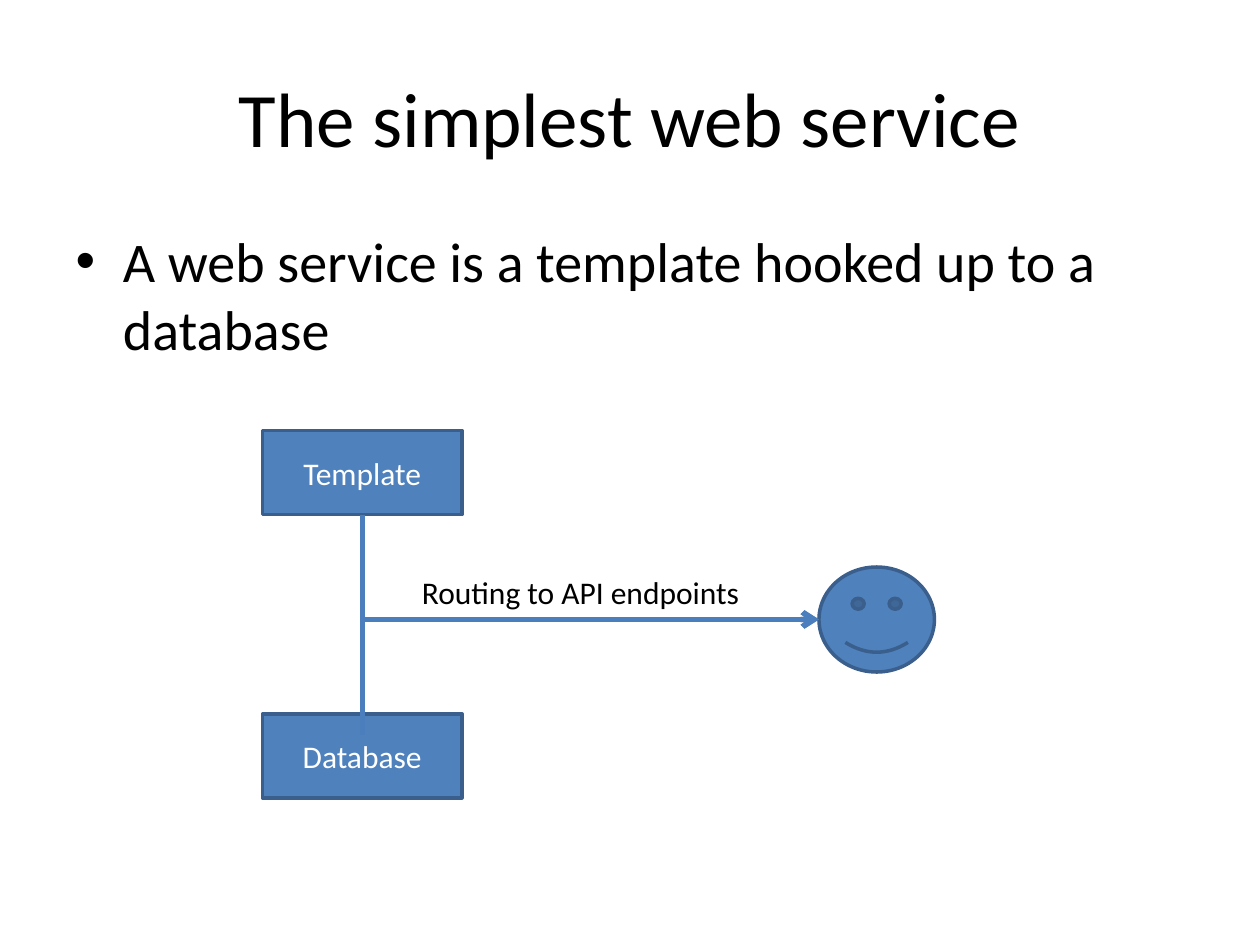
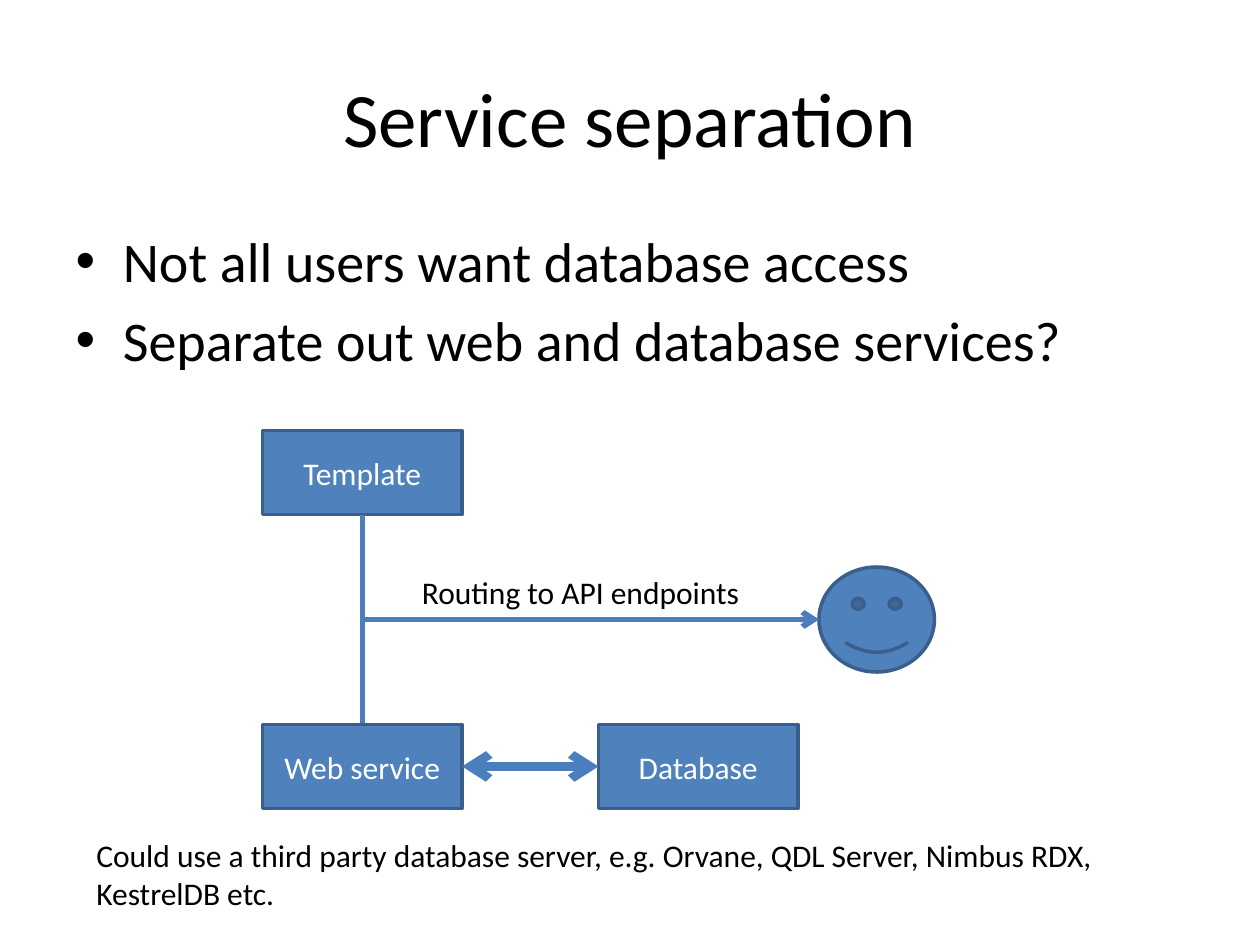
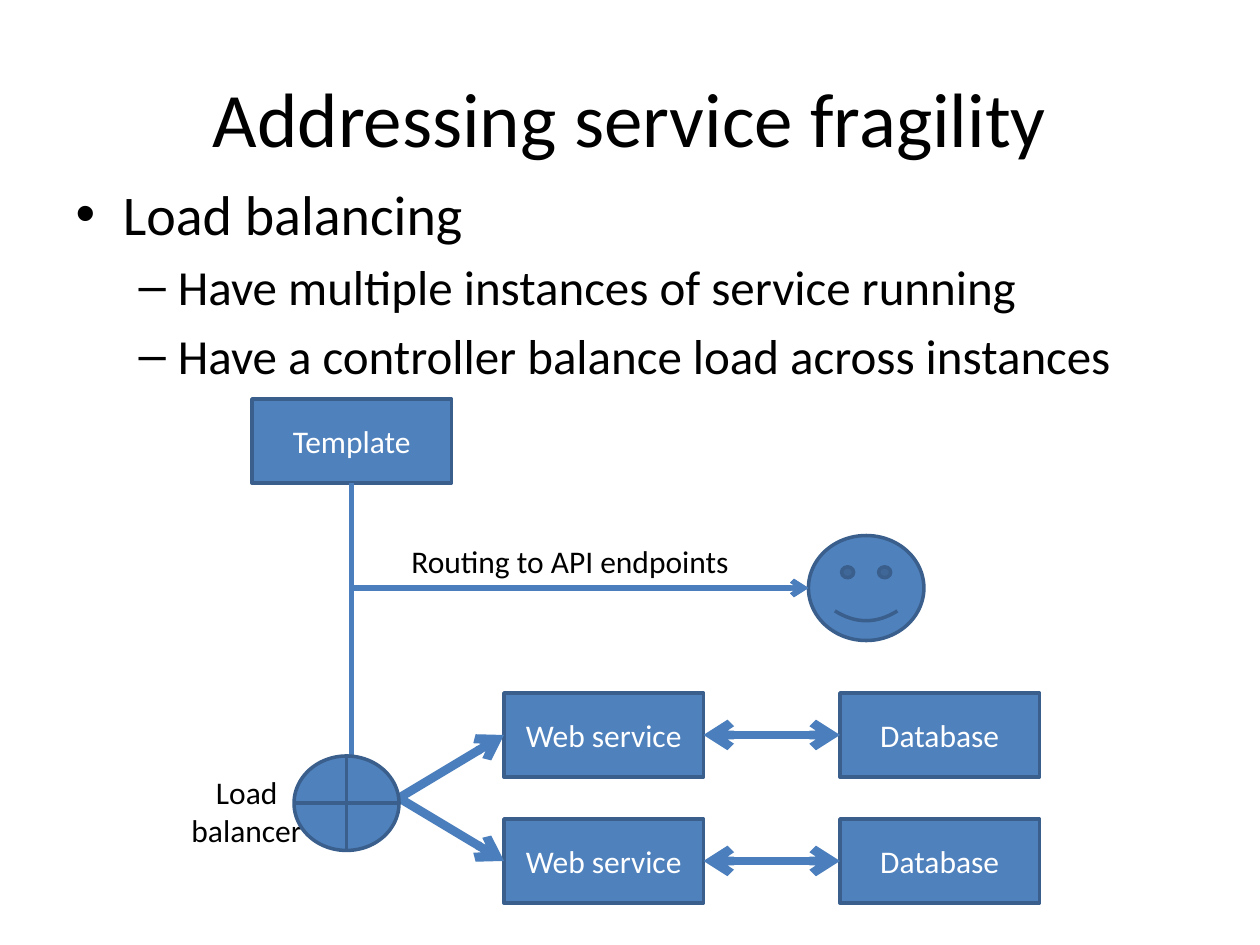
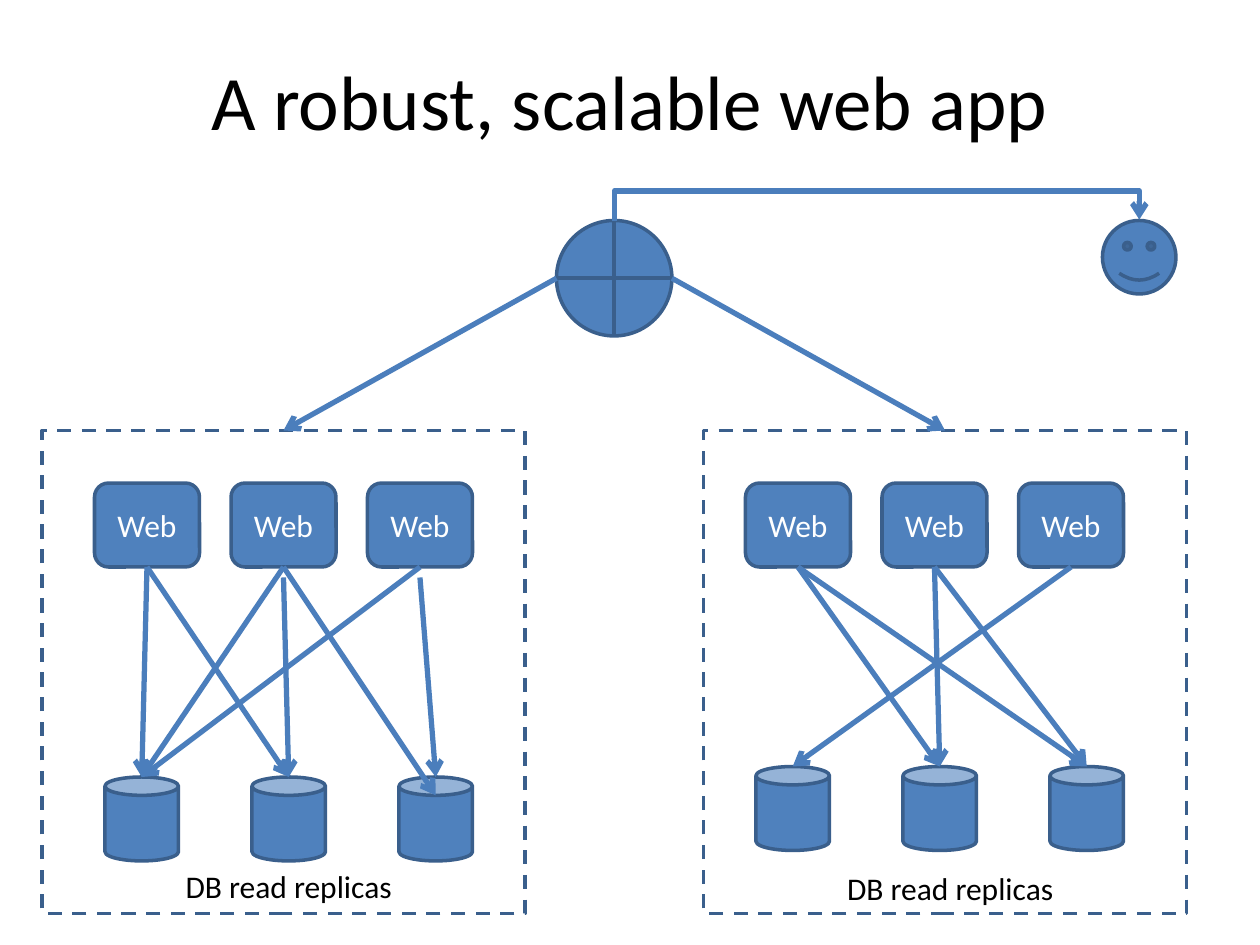
from lxml import etree
from pptx import Presentation
from pptx.dml.color import RGBColor
from pptx.enum.dml import MSO_LINE
from pptx.enum.shapes import MSO_CONNECTOR, MSO_SHAPE
from pptx.enum.text import MSO_ANCHOR, MSO_AUTO_SIZE, PP_ALIGN
from pptx.oxml.ns import qn
from pptx.util import Inches, Pt

STRAIGHT, ELBOW = MSO_CONNECTOR.STRAIGHT, MSO_CONNECTOR.ELBOW
RECTANGLE, ROUNDED = MSO_SHAPE.RECTANGLE, MSO_SHAPE.ROUNDED_RECTANGLE
SMILEY, CAN = MSO_SHAPE.SMILEY_FACE, MSO_SHAPE.CAN
BALANCER = MSO_SHAPE.FLOWCHART_OR
LEFT, CENTER = PP_ALIGN.LEFT, PP_ALIGN.CENTER
MIDDLE, DASH = MSO_ANCHOR.MIDDLE, MSO_LINE.DASH
GROW = MSO_AUTO_SIZE.SHAPE_TO_FIT_TEXT

FONT = "Calibri"
BLACK = RGBColor(0x00, 0x00, 0x00)
WHITE = RGBColor(0xFF, 0xFF, 0xFF)
FILL_BLUE = RGBColor(0x4F, 0x81, 0xBD)
OUTLINE_BLUE = RGBColor(0x3A, 0x5F, 0x8C)
ARROW_BLUE = RGBColor(0x4B, 0x7E, 0xBC)

TITLE_SIZE, LABEL_SIZE = 44, 18
BULLET_SIZES = (32, 28)
CONTENT_LAYOUT, TITLE_ONLY_LAYOUT = 1, 5

# The slide is a grid of 120 columns and 90 rows, 12 to the inch
CELLS_PER_INCH = 12
BOX = (19, 8)
WEB = (10, 8)
DATABASE_CAN = (7, 8)
FRAME_SIDE = 46
LINE_HEIGHT = 4.8


def cells(*counts):
    return [Inches(count / CELLS_PER_INCH) for count in counts]


def format_paragraph(paragraph, size, color, alignment=None):
    paragraph.alignment = alignment
    paragraph.font.name = FONT
    paragraph.font.size = Pt(size)
    paragraph.font.color.rgb = color


# Placeholders
def place(shape, left, top, width, height):
    shape.left, shape.top, shape.width, shape.height = cells(left, top, width, height)


def add_slide(presentation, title, layout=CONTENT_LAYOUT, title_row=3.6):
    slide = presentation.slides.add_slide(presentation.slide_layouts[layout])
    place(slide.shapes.title, 6, title_row, 108, 15)
    slide.shapes.title.text_frame.text = title
    slide.shapes.title.text_frame.vertical_anchor = MIDDLE
    format_paragraph(slide.shapes.title.text_frame.paragraphs[0], TITLE_SIZE, BLACK, CENTER)
    return slide


def fill_bullets(slide, bullets, row=21):
    body = slide.placeholders[1]
    place(body, 6, row, 108, 59.4)
    frame = body.text_frame
    frame.text = "\n".join(text for _, text in bullets)
    for paragraph, (level, _) in zip(frame.paragraphs, bullets):
        paragraph.level = level
        format_paragraph(paragraph, BULLET_SIZES[level], BLACK)
    frame.paragraphs[0].space_before = Pt(0)


# Shapes and labels
def add_node(shapes, kind, column, row, size, text=None):
    node = shapes.add_shape(kind, *cells(column, row, *size))
    node.shadow.inherit = False
    node.fill.solid()
    node.fill.fore_color.rgb = FILL_BLUE
    node.line.color.rgb = OUTLINE_BLUE
    node.line.width = Pt(2)
    if text:
        node.text_frame.text = text
        node.text_frame.vertical_anchor = MIDDLE
        format_paragraph(node.text_frame.paragraphs[0], LABEL_SIZE, WHITE, CENTER)
    return node


def add_label(shapes, text, column, row, width, height=LINE_HEIGHT, alignment=LEFT):
    frame = shapes.add_textbox(*cells(column, row, width, height)).text_frame
    frame.word_wrap = True
    frame.auto_size = GROW
    frame.text = text
    format_paragraph(frame.paragraphs[0], LABEL_SIZE, BLACK, alignment)


# Connectors
def add_arrow(shapes, start, end, width=3, both_ends=False, kind=STRAIGHT):
    arrow = shapes.add_connector(kind, *cells(*start, *end))
    arrow.line.color.rgb = ARROW_BLUE
    arrow.line.width = Pt(width)
    line = arrow.line._get_or_add_ln()
    for tag in ("a:headEnd", "a:tailEnd") if both_ends else ("a:tailEnd",):
        etree.SubElement(line, qn(tag), type="arrow")
    etree.SubElement(arrow._element.spPr, qn("a:effectLst"))
    return arrow


def add_elbow(shapes, start, end, preset="bentConnector2", bend=None):
    """Leave start vertically and turn towards end, which lies to its right."""
    middle_x, middle_y = (start[0] + end[0]) / 2, (start[1] + end[1]) / 2
    half_rise, half_run = abs(end[1] - start[1]) / 2, (end[0] - start[0]) / 2
    goes_down = end[1] > start[1]
    if goes_down:
        half_run = -half_run
    # The frame is laid on its side, then turned a quarter
    elbow = add_arrow(shapes, (middle_x + half_rise, middle_y + half_run),
                      (middle_x - half_rise, middle_y - half_run), kind=ELBOW)
    properties = elbow._element.spPr
    properties.find(qn("a:xfrm")).set("rot", str((270 if goes_down else 90) * 60000))
    geometry = properties.find(qn("a:prstGeom"))
    geometry.set("prst", preset)
    if bend:
        etree.SubElement(geometry.find(qn("a:avLst")), qn("a:gd"),
                         name="adj1", fmla=f"val {bend * 100000}")


# Diagram parts
def add_routing(shapes, column, row, service_row):
    """Template and service joined on one route to the user."""
    add_node(shapes, RECTANGLE, column, row, BOX, "Template")
    add_node(shapes, SMILEY, column + 53, row + 13, (11, 10))
    for start_row in (row + 8, service_row):
        add_elbow(shapes, (column + 9.5, start_row), (column + 53, row + 18))
    add_label(shapes, "Routing to API endpoints", column + 14, row + 13, 34)


def add_service_pair(shapes, column, row):
    """Web service exchanging data with its database."""
    add_node(shapes, RECTANGLE, column + 32, row, BOX, "Database")
    add_node(shapes, RECTANGLE, column, row, BOX, "Web service")
    add_arrow(shapes, (column + 19, row + 4), (column + 32, row + 4), 5, both_ends=True)


def add_cluster(shapes, frame_column, web_column, can_row, label_row, links):
    """Dashed frame of web servers linked to read replicas.

    A link is web index, replica index, start drop and end drop in rows.
    """
    for index in range(3):
        add_node(shapes, ROUNDED, web_column + 13 * index, 46, WEB, "Web")
        add_node(shapes, CAN, web_column + 1 + 14 * index, can_row, DATABASE_CAN)
    frame = add_node(shapes, RECTANGLE, frame_column, 41, (FRAME_SIDE, FRAME_SIDE))
    frame.fill.background()
    frame.line.dash_style = DASH
    for web, replica, start_drop, end_drop in links:
        add_arrow(shapes, (web_column + 5 + 13 * web, 54 + start_drop),
                  (web_column + 4.5 + 14 * replica, can_row + end_drop))
    add_label(shapes, "DB read replicas", frame_column + 2, label_row, 43, alignment=CENTER)


# Slides
def build_simplest(presentation):
    slide = add_slide(presentation, "The simplest web service")
    fill_bullets(slide, [(0, "A web service is a template hooked up to a database")])
    diagram = slide.shapes.add_group_shape().shapes
    add_node(diagram, RECTANGLE, 25, 68, BOX, "Database")
    add_routing(diagram, 25, 41, 70)


def build_separation(presentation):
    slide = add_slide(presentation, "Service separation")
    fill_bullets(slide, [(0, "Not all users want database access"),
                         (0, "Separate out web and database services?")])
    add_routing(slide.shapes, 25, 41, 70)
    add_service_pair(slide.shapes, 25, 69)
    add_label(slide.shapes, "Could use a third party database server, e.g. Orvane, "
              "QDL Server, Nimbus RDX, KestrelDB etc.", 8, 79, 101, 8.5)


def build_fragility(presentation):
    slide = add_slide(presentation, "Addressing service fragility")
    fill_bullets(slide, [(0, "Load balancing"),
                         (1, "Have multiple instances of service running"),
                         (1, "Have a controller balance load across instances")], 16.5)
    shapes = slide.shapes
    add_routing(shapes, 24, 38, 72)
    for row in (66, 78):
        add_service_pair(shapes, 48, row)
        add_arrow(shapes, (38, 76), (48, row + 4), 5)
    add_label(shapes, "Load balancer", 14, 73, 19, 8.5, CENTER)
    add_node(shapes, BALANCER, 28, 72, (10, 9))


def build_scalable(presentation):
    slide = add_slide(presentation, "A robust, scalable web app", TITLE_ONLY_LAYOUT, 2)
    shapes = slide.shapes
    add_node(shapes, BALANCER, 53, 21, (11, 11))
    add_cluster(shapes, 4, 9, 74, 82,
                [(0, 1, 0, 0), (0, 0, 0, 0), (1, 0, 0, 0), (1, 1, 1, 0),
                 (1, 2, 0, 1.75), (2, 0, 0, 0), (2, 2, 1, 0)])
    add_cluster(shapes, 67, 71, 73, 82.2,
                [(0, 1, 0, 0), (1, 2, 0, 0), (2, 0, 0, 0), (1, 1, 0, 0), (0, 2, 0, 0)])
    for balancer_column, frame_column in ((53, 4), (64, 67)):
        add_arrow(shapes, (balancer_column, 26.5), (frame_column + FRAME_SIDE / 2, 41))
    add_node(shapes, SMILEY, 105, 21, (7, 7))
    add_elbow(shapes, (58.5, 21.08), (108.5, 20.92), "bentConnector3", 18)


def main():
    presentation = Presentation()
    presentation.slide_width, presentation.slide_height = cells(120, 90)
    build_simplest(presentation)
    build_separation(presentation)
    build_fragility(presentation)
    build_scalable(presentation)
    presentation.save("out.pptx")


if __name__ == "__main__":
    main()
